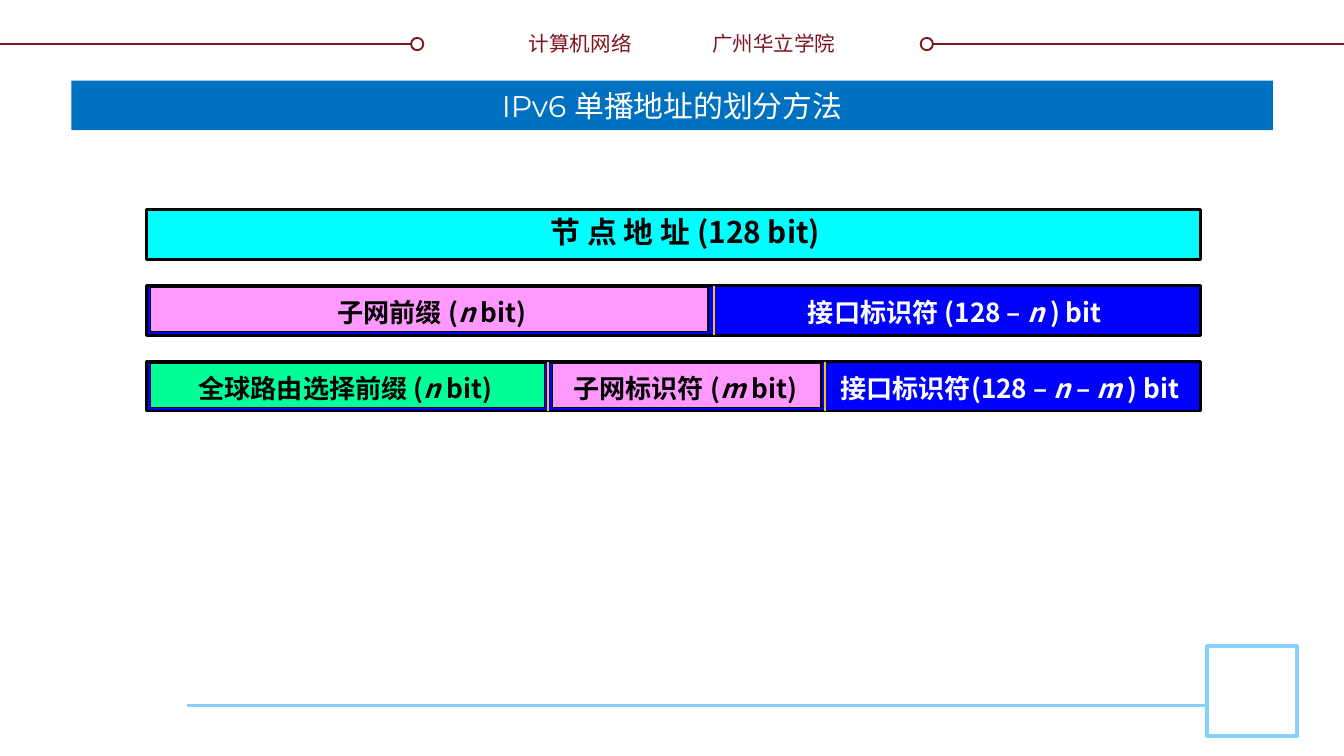
from lxml.etree import SubElement
from pptx import Presentation
from pptx.dml.color import RGBColor
from pptx.enum.shapes import MSO_CONNECTOR, MSO_SHAPE
from pptx.enum.text import MSO_ANCHOR, PP_ALIGN
from pptx.oxml.ns import qn
from pptx.util import Pt

WHITE = RGBColor(0xFF, 0xFF, 0xFF)
BLACK = RGBColor(0x00, 0x00, 0x00)
MAROON = RGBColor(0x7F, 0x13, 0x1F)
SKY = RGBColor(0x85, 0xD1, 0xF7)
BLUE = RGBColor(0x00, 0x00, 0xFF)
CYAN = RGBColor(0x00, 0xFF, 0xFF)
PINK = RGBColor(0xFF, 0x99, 0xFF)
GREEN = RGBColor(0x00, 0xFF, 0x99)
GOLD = RGBColor(0xFF, 0xC0, 0x00)
TITLE_BLUE = RGBColor(0x00, 0x70, 0xC0)

CHINESE_FONT = "Noto Sans CJK SC"
PAGE_WIDTH = 720
BAR_LEFT, BAR_TOP, BAR_WIDTH, BAR_HEIGHT, BAR_STEP = 78.5, 112.3, 564.5, 26.6, 40.7
FIELD_LEFT, FIELD_HEIGHT = 80.6, 23.8


def write_text(frame, text, size=14, font=CHINESE_FONT, color=BLACK, bold=False,
               align=PP_ALIGN.CENTER, wrap=False):
    frame.word_wrap = wrap
    para = frame.paragraphs[0]
    para.alignment = align
    for index, part in enumerate(text.split("*")):
        span = para.add_run()
        span.text = part
        span.font.size = Pt(size)
        span.font.name = font
        span.font.bold = bold
        span.font.italic = index % 2 == 1
        span.font.color.rgb = color
        east_asian = SubElement(span.font._element, qn("a:ea"))
        east_asian.set("typeface", CHINESE_FONT)


def add_label(page, text, left, top, width, height=FIELD_HEIGHT, **text_format):
    box = page.shapes.add_textbox(Pt(left), Pt(top), Pt(width), Pt(height))
    write_text(box.text_frame, text, **text_format)


def add_block(page, left, top, width, height, fill, line, weight, kind=MSO_SHAPE.RECTANGLE):
    block = page.shapes.add_shape(kind, Pt(left), Pt(top), Pt(width), Pt(height))
    block.shadow.inherit = False
    block.fill.solid()
    block.fill.fore_color.rgb = fill
    block.line.color.rgb = line
    block.line.width = Pt(weight)


def add_line(page, start, end, color, weight=1):
    line = page.shapes.add_connector(MSO_CONNECTOR.STRAIGHT, *map(Pt, start + end))
    line.line.color.rgb = color
    line.line.width = Pt(weight)
    SubElement(line._element.spPr, qn("a:effectLst"))


def add_frame(page):
    for start, end, circle_left in ((0, 226.8, 220.2), (493.2, PAGE_WIDTH, 493.2)):
        add_line(page, (start, 23.6), (end, 23.6), MAROON)
        add_block(page, circle_left, 20.3, 6.6, 6.6, WHITE, MAROON, 1, kind=MSO_SHAPE.OVAL)
    add_label(page, "计算机网络", 275.8, 13, 69.8, 20.9, size=11, color=MAROON,
              align=PP_ALIGN.RIGHT)
    add_label(page, "广州华立学院", 374.4, 13, 83.5, 20.9, size=11, color=MAROON,
              align=PP_ALIGN.LEFT, wrap=True)
    add_line(page, (100, 378), (646.6, 378), SKY, 1.5)
    add_block(page, 646.6, 346.3, 48.2, 48.2, WHITE, SKY, 2)


def add_title(page, text):
    title = page.shapes.title
    title.left, title.top, title.width, title.height = map(Pt, (38.2, 43.2, 643.7, 26.6))
    title.fill.solid()
    title.fill.fore_color.rgb = TITLE_BLUE
    title.text_frame.vertical_anchor = MSO_ANCHOR.MIDDLE
    write_text(title.text_frame, text, size=16, font="Montserrat", color=WHITE, wrap=True)


def add_bar(page, row, fill, dividers=(), fields=(), labels=()):
    top = BAR_TOP + row * BAR_STEP
    add_block(page, BAR_LEFT, top, BAR_WIDTH, BAR_HEIGHT, fill, BLACK, 1.5)
    for x in dividers:
        add_line(page, (x, top), (x, top + BAR_HEIGHT), GOLD)
    for left, width, color in fields:
        add_block(page, left, top + 1, width, FIELD_HEIGHT, color, BLACK, 0.75)
    for text, left, width, color in labels:
        add_label(page, text, left, top + 2, width, color=color, bold=True)


def main():
    deck = Presentation()
    deck.slide_width, deck.slide_height = Pt(PAGE_WIDTH), Pt(405)
    page = deck.slides.add_slide(deck.slide_layouts[5])
    add_frame(page)
    add_bar(page, 0, CYAN)
    add_label(page, "节 点 地 址 (128 bit)", 214.6, 110.9, 305.3, 26.6, size=16, bold=True,
              wrap=True)
    add_bar(page, 1, BLUE, dividers=[382.3],
            fields=[(FIELD_LEFT, 298.8, PINK)],
            labels=[("子网前缀 (*n* bit)", 169, 125, BLACK),
                    ("接口标识符 (128 – *n* ) bit", 420.5, 182, WHITE)])
    add_bar(page, 2, BLUE, dividers=[293.8, 442.1],
            fields=[(FIELD_LEFT, 211, GREEN), (295.9, 144, PINK)],
            labels=[("全球路由选择前缀 (*n* bit)", 94, 182, BLACK),
                    ("子网标识符 (*m* bit)", 295.5, 143, BLACK),
                    ("接口标识符(128 – *n* – *m* ) bit", 436, 210, WHITE)])
    add_title(page, "IPv6 单播地址的划分方法")
    deck.save("out.pptx")


if __name__ == "__main__":
    main()
